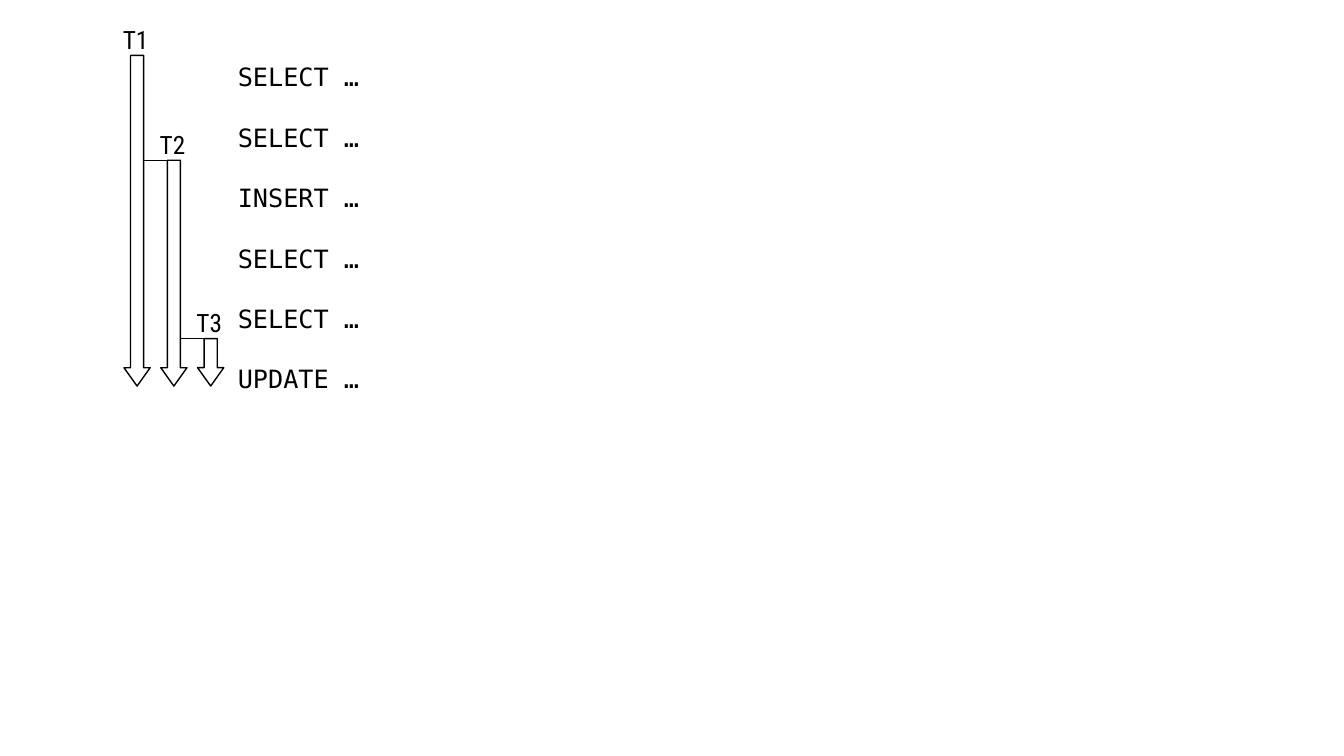
from lxml.etree import SubElement
from pptx import Presentation
from pptx.dml.color import RGBColor
from pptx.enum.shapes import MSO_CONNECTOR as Connector, MSO_SHAPE as Shape
from pptx.enum.text import MSO_AUTO_SIZE as AutoSize
from pptx.oxml.ns import qn
from pptx.util import Inches, Pt

BLACK = RGBColor(0x00, 0x00, 0x00)
WHITE = RGBColor(0xFF, 0xFF, 0xFF)

FIRST_COLUMN = 1.23
COLUMN_STEP = 0.365
ARROW_WIDTH = 0.26
ARROW_END = 3.83
HEAD_RATIO = 0.7
LABEL_WIDTH = 0.48
LABEL_RISE = 0.36
BRANCH_LENGTH = 0.33

TRANSACTIONS = [("T1", 0.55), ("T2", 1.59), ("T3", 3.36)]
STATEMENTS = ["SELECT …", "SELECT …", "INSERT …", "SELECT …", "SELECT …", "UPDATE …"]


def add_text(shapes, text, *, left, top, width, height, font, spacing=1.0):
    box = shapes.add_textbox(Inches(left), Inches(top), Inches(width), Inches(height))
    frame = box.text_frame
    frame.word_wrap = False
    frame.auto_size = AutoSize.SHAPE_TO_FIT_TEXT
    frame.text = text
    for paragraph in frame.paragraphs:
        paragraph.line_spacing = spacing
        for run in paragraph.runs:
            run.font.name = font
            run.font.size = Pt(18)
            run.font.color.rgb = BLACK


deck = Presentation()
deck.slide_width = Inches(13.33)
deck.slide_height = Inches(7.5)
slide = deck.slides.add_slide(deck.slide_layouts[6])

for column, (name, start) in enumerate(TRANSACTIONS):
    if column == 0:
        continue
    center = FIRST_COLUMN + column * COLUMN_STEP + ARROW_WIDTH / 2
    branch = slide.shapes.add_connector(
        Connector.STRAIGHT,
        Inches(center), Inches(start), Inches(center - BRANCH_LENGTH), Inches(start),
    )
    branch.line.color.rgb = BLACK
    branch.line.width = Pt(1)
    SubElement(branch.element.spPr, qn("a:effectLst"))

for column, (name, start) in enumerate(TRANSACTIONS):
    left = FIRST_COLUMN + column * COLUMN_STEP
    transaction = slide.shapes.add_group_shape()
    timeline = transaction.shapes.add_shape(
        Shape.DOWN_ARROW,
        Inches(left), Inches(start), Inches(ARROW_WIDTH), Inches(ARROW_END - start),
    )
    timeline.adjustments[0] = 0.5
    timeline.adjustments[1] = HEAD_RATIO
    timeline.shadow.inherit = False
    timeline.fill.solid()
    timeline.fill.fore_color.rgb = WHITE
    timeline.line.color.rgb = BLACK
    timeline.line.width = Pt(1)
    add_text(
        transaction.shapes, name,
        left=left + (ARROW_WIDTH - LABEL_WIDTH) / 2, top=start - LABEL_RISE,
        width=LABEL_WIDTH, height=0.4, font="Roboto Condensed",
    )

add_text(
    slide.shapes, "\n".join(STATEMENTS),
    left=2.26, top=0.26, width=1.42, height=3.65,
    font="DejaVu Sans Mono", spacing=2.0,
)

deck.save("out.pptx")
